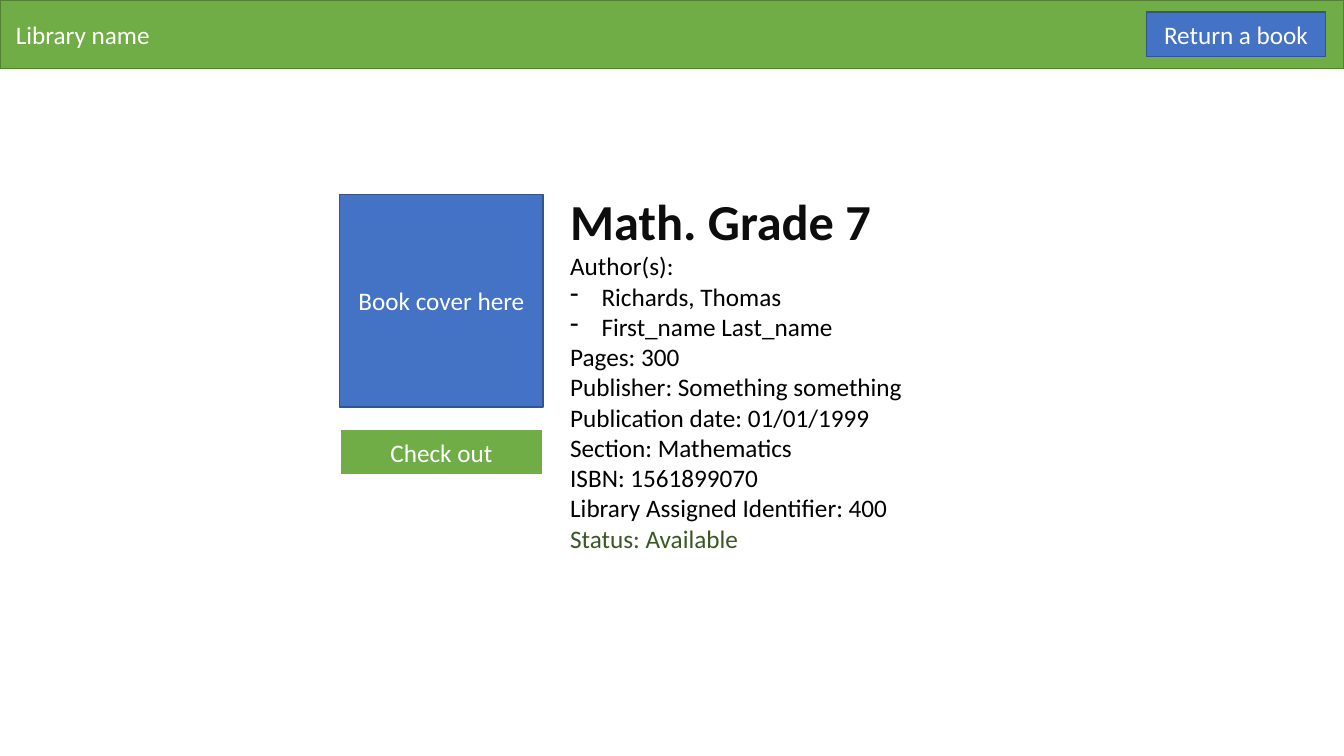
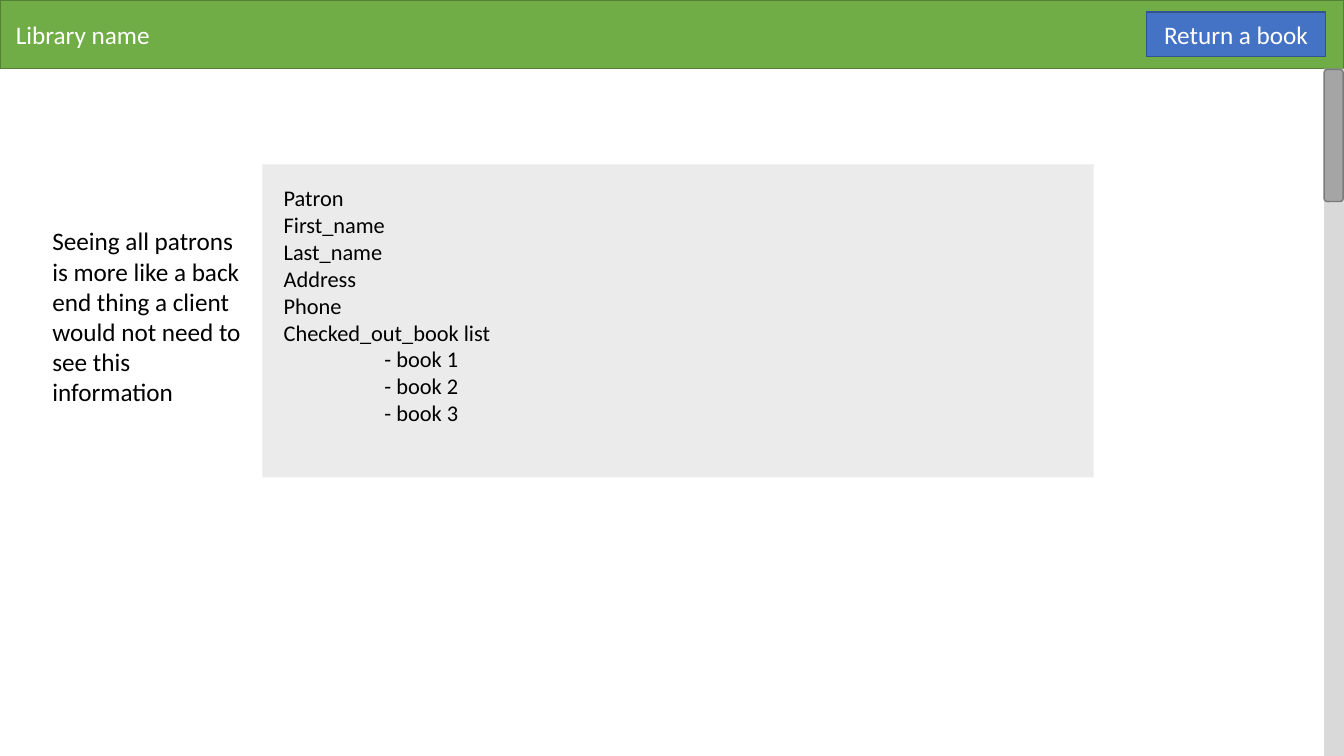
import pptx
import pptx.util
import pptx.dml.color
import pptx.enum.shapes
import pptx.enum.text
import pptx.oxml
import pptx.oxml.ns

Cm = pptx.util.Cm
Pt = pptx.util.Pt
RGB = pptx.dml.color.RGBColor
SHAPE = pptx.enum.shapes.MSO_SHAPE
ALIGN = pptx.enum.text.PP_ALIGN
qn = pptx.oxml.ns.qn

WHITE = RGB(0xFF, 0xFF, 0xFF)
BLACK = RGB(0x00, 0x00, 0x00)
INK = RGB(0x0D, 0x0D, 0x0D)
GREEN = RGB(0x70, 0xAD, 0x47)
GREEN_EDGE = RGB(0x53, 0x80, 0x35)
GREEN_TEXT = RGB(0x38, 0x57, 0x23)
BLUE = RGB(0x44, 0x72, 0xC4)
BLUE_EDGE = RGB(0x32, 0x54, 0x91)
PALE_GRAY = RGB(0xD9, 0xD9, 0xD9)
GRAY = RGB(0xA5, 0xA5, 0xA5)
GRAY_EDGE = RGB(0x7A, 0x7A, 0x7A)

FONT = "Calibri"
SLIDE_W, SLIDE_H = 33.87, 19.05
HEADER_H = 1.73
COVER_X, COVER_W = 8.56, 5.13
BAR_W = 0.5


def style_runs(p, size, color, bold=False):
    """Format every run of a paragraph."""
    for r in p.runs:
        r.font.name = FONT
        r.font.size = Pt(size)
        r.font.bold = bold
        r.font.color.rgb = color


def add_box(s, x, y, w, h, fill, edge=None, edge_pt=1, kind=SHAPE.RECTANGLE):
    """Add a filled shape, with an outline if edge is given."""
    sp = s.shapes.add_shape(kind, Cm(x), Cm(y), Cm(w), Cm(h))
    sp.shadow.inherit = False
    sp.fill.solid()
    sp.fill.fore_color.rgb = fill
    if edge is None:
        sp.line.fill.background()
    else:
        sp.line.color.rgb = edge
        sp.line.width = Pt(edge_pt)
    return sp


def add_label(sp, text, align=ALIGN.CENTER):
    """Write one white line in the middle of a shape."""
    tf = sp.text_frame
    tf.text = text
    tf.vertical_anchor = pptx.enum.text.MSO_ANCHOR.MIDDLE
    p = tf.paragraphs[0]
    p.alignment = align
    style_runs(p, 18, WHITE)


def add_text(s, x, y, w, h, lines, size):
    """Add a wrapping text box with one paragraph per line; return them."""
    tf = s.shapes.add_textbox(Cm(x), Cm(y), Cm(w), Cm(h)).text_frame
    tf.word_wrap = True
    tf.auto_size = pptx.enum.text.MSO_AUTO_SIZE.SHAPE_TO_FIT_TEXT
    tf.text = "\n".join(lines)
    for p in tf.paragraphs:
        style_runs(p, size, BLACK)
    return tf.paragraphs


def set_indent(p, left, bullet=None):
    """Indent a paragraph, hanging a bullet in the indent if given."""
    pPr = p._p.get_or_add_pPr()
    pPr.set("marL", str(Cm(left)))
    if bullet:
        pPr.set("indent", str(-Cm(left)))
        bu = pptx.oxml.ns.nsdecls("a")
        pPr.append(pptx.oxml.parse_xml(f'<a:buChar {bu} char="{bullet}"/>'))


def set_alpha(sp, percent):
    """Make a solid fill partly transparent."""
    color = sp._element.spPr.find(qn("a:solidFill"))[0]
    alpha = color.makeelement(qn("a:alpha"), {"val": str(percent * 1000)})
    color.append(alpha)


def add_page(prs):
    """Add a blank slide with the library header and its return button."""
    s = prs.slides.add_slide(prs.slide_layouts[6])
    header = add_box(s, 0, 0, SLIDE_W, HEADER_H, GREEN, GREEN_EDGE)
    add_label(header, "Library name", ALIGN.LEFT)
    header.text_frame.margin_left = Cm(0.4)
    button = add_box(s, 28.9, 0.3, 4.5, 1.12, BLUE, BLUE_EDGE)
    add_label(button, "Return a book")
    return s


def add_book_page(prs):
    """Build the page of one book."""
    s = add_page(prs)
    cover = add_box(s, COVER_X, 4.9, COVER_W, 5.36, BLUE, BLUE_EDGE)
    add_label(cover, "Book cover here")
    check_out = add_box(s, COVER_X, 10.82, COVER_W, 1.14, GREEN, WHITE, 1.5)
    add_label(check_out, "Check out")

    authors = ["Richards, Thomas", "First_name Last_name"]
    lines = ["Math. Grade 7", "Author(s):", *authors, "Pages: 300",
             "Publisher: Something something",
             "Publication date: 01/01/1999", "Section: Mathematics",
             "ISBN: 1561899070", "Library Assigned Identifier: 400",
             "Status: Available"]
    details = add_text(s, 14.12, 4.67, 9.4, 9.5, lines, 18)
    style_runs(details[0], 36, INK, bold=True)
    style_runs(details[-1], 18, GREEN_TEXT)
    for p in details:
        if p.text in authors:
            set_indent(p, 0.79, "-")


def add_patron_page(prs):
    """Build the page of one patron, with a scroll bar."""
    s = add_page(prs)
    panel = add_box(s, 6.61, 4.14, 20.95, 7.89, PALE_GRAY)
    set_alpha(panel, 50)

    bar_x = SLIDE_W - BAR_W
    add_box(s, bar_x, HEADER_H, BAR_W, SLIDE_H - HEADER_H, PALE_GRAY)
    add_box(s, bar_x, 1.75, 0.48, 3.33, GRAY, GRAY_EDGE,
            kind=SHAPE.ROUNDED_RECTANGLE)

    note = ("Seeing all patrons is more like a back end thing a client "
            "would not need to see this information")
    add_text(s, 1.07, 5.56, 5.26, 4.88, [note], 18)

    books = [f"- book {n}" for n in range(1, 4)]
    fields = ["Patron", "First_name", "Last_name", "Address", "Phone",
              "Checked_out_book list"]
    record = add_text(s, 6.9, 4.52, 10.77, 6.4, fields + books, 16)
    for p in record[len(fields):]:
        set_indent(p, 2.54)


def main():
    """Build and save the presentation."""
    prs = pptx.Presentation()
    prs.slide_width, prs.slide_height = Cm(SLIDE_W), Cm(SLIDE_H)
    add_book_page(prs)
    add_patron_page(prs)
    prs.save("out.pptx")


main()
